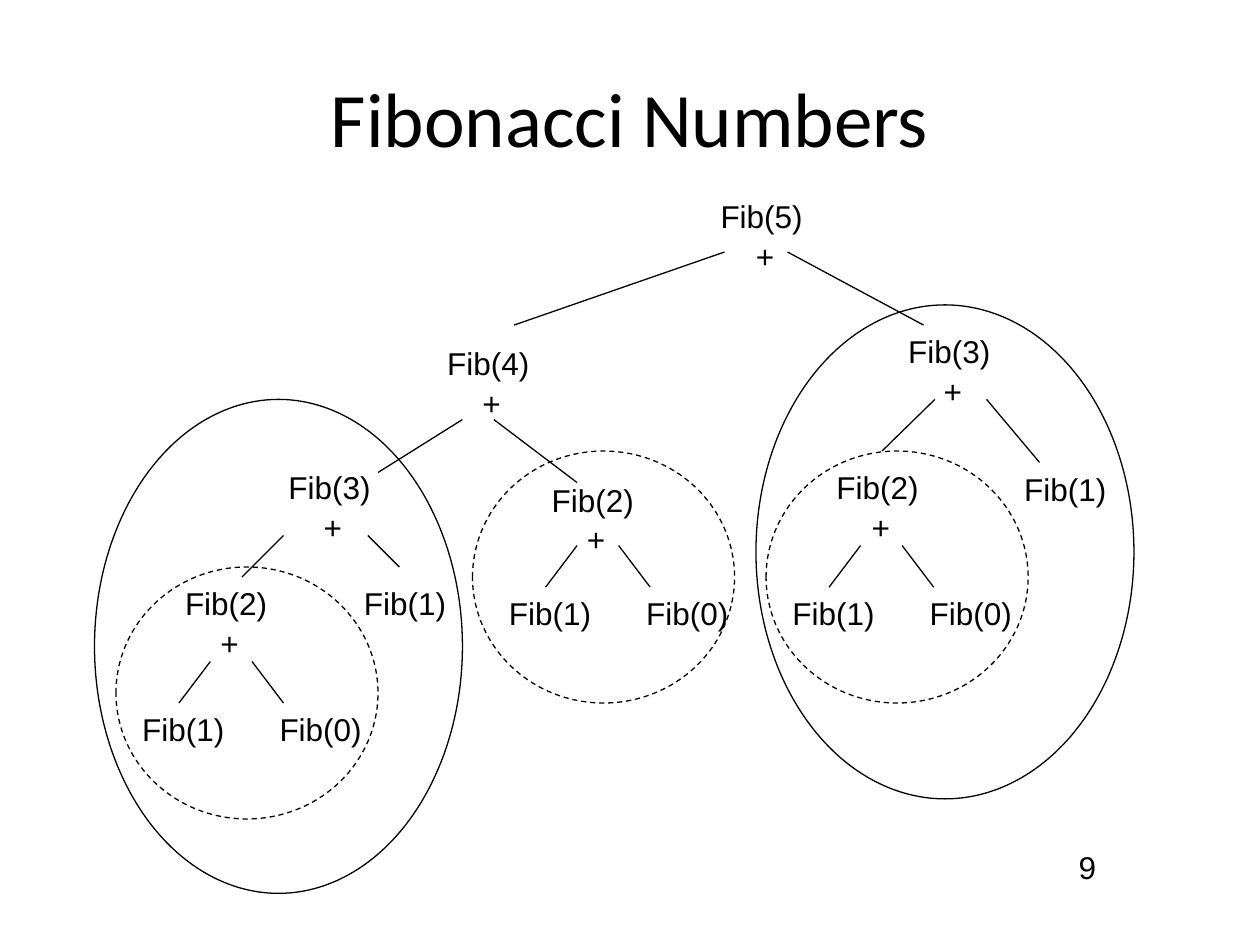
import pptx
import pptx.dml.color
import pptx.enum.dml
import pptx.enum.shapes
import pptx.enum.text
import pptx.oxml
import pptx.util
from pptx.util import Inches

TITLE = "Fibonacci Numbers"
PAGE_NUMBER = "9"
BLACK = "000000"

SUMS = [
    ("Fib(5)", 5.62, 1.5),
    ("Fib(4)", 3.45, 2.67),
    ("Fib(3)", 7.11, 2.57),
    ("Fib(3)", 2.19, 3.65),
    ("Fib(2)", 4.28, 3.75),
    ("Fib(2)", 6.54, 3.65),
    ("Fib(2)", 1.37, 4.57),
]
LEAVES = [("Fib(1)", 8.03, 3.67), ("Fib(1)", 2.79, 4.57)]
BRANCHES = [
    (5.75, 2, 4.08, 2.58),
    (6.25, 2, 7.33, 2.58),
    (3.67, 3.33, 3, 3.75),
    (3.92, 3.33, 4.58, 3.83),
    (7.42, 3.17, 7, 3.58),
    (7.83, 3.17, 8.25, 3.67),
    (2.25, 4.25, 1.92, 4.58),
    (2.92, 4.25, 3.17, 4.5),
]

FIB2_SUBTREES = [(0.92, 4.5), (3.83, 3.58), (6.08, 3.58)]
FIB2_LEAVES = [("Fib(1)", 0.11, 1.07), ("Fib(0)", 1.2, 1.07)]
FIB2_BRANCHES = [(0.75, 0.75, 0.5, 1.08), (1.08, 0.75, 1.33, 1.08)]

FIB2_GROUPS = [(left, top, 2.08, 2) for left, top in [(0.92, 4.5), (3.75, 3.58), (6.08, 3.58)]]
FIB3_GROUPS = [(0.75, 3.17, 2.92, 3.92), (6, 2.42, 3, 3.92)]


def color(hex_value):
    return pptx.dml.color.RGBColor.from_string(hex_value)


def add_run(paragraph, text, font_name="Arial", size=18):
    run = paragraph.add_run()
    run.text = text
    run.font.name = font_name
    run.font.size = pptx.util.Pt(size)
    run.font.color.rgb = color(BLACK)


def add_text(slide, lines, left, top, width=0.85, wrap=False):
    box = slide.shapes.add_textbox(
        Inches(left), Inches(top), Inches(width), Inches(0.1 + 0.3 * len(lines))
    )
    frame = box.text_frame
    frame.word_wrap = wrap
    for index, line in enumerate(lines):
        paragraph = frame.add_paragraph() if index else frame.paragraphs[0]
        paragraph.line_spacing = 1.05
        if line == "+":
            paragraph._p.get_or_add_pPr().set("marL", str(Inches(0.28)))
        add_run(paragraph, line)
    return frame


def style_line(line):
    line.color.rgb = color(BLACK)
    line.width = pptx.util.Pt(0.75)


def add_branch(slide, *ends):
    connector = slide.shapes.add_connector(
        pptx.enum.shapes.MSO_CONNECTOR.STRAIGHT, *map(Inches, ends)
    )
    style_line(connector.line)
    connector._element.spPr.append(
        pptx.oxml.parse_xml(
            '<a:effectLst xmlns:a="http://schemas.openxmlformats.org/drawingml/2006/main"/>'
        )
    )


def add_group_outline(slide, bounds, dashed):
    shape = slide.shapes.add_shape(
        pptx.enum.shapes.MSO_SHAPE.OVAL, *map(Inches, bounds)
    )
    shape.shadow.inherit = False
    shape.fill.background()
    style_line(shape.line)
    if dashed:
        shape.line.dash_style = pptx.enum.dml.MSO_LINE.DASH


def add_title(slide):
    title = slide.shapes.title
    title.left, title.top, title.width, title.height = map(Inches, (0.5, 0.3, 9, 1.25))
    title.text_frame.vertical_anchor = pptx.enum.text.MSO_ANCHOR.MIDDLE
    paragraph = title.text_frame.paragraphs[0]
    paragraph.alignment = pptx.enum.text.PP_ALIGN.CENTER
    add_run(paragraph, TITLE, "Calibri", 44)


def main():
    presentation = pptx.Presentation()
    presentation.slide_width = Inches(10)
    presentation.slide_height = Inches(7.5)
    slide = presentation.slides.add_slide(presentation.slide_layouts[5])

    add_title(slide)
    number = add_text(slide, [PAGE_NUMBER], 7.92, 6.67, 1.42, wrap=True)
    number.paragraphs[0].alignment = pptx.enum.text.PP_ALIGN.CENTER

    for name, left, top in SUMS:
        add_text(slide, [name, "+"], left, top)
    for name, left, top in LEAVES:
        add_text(slide, [name], left, top)
    for branch in BRANCHES:
        add_branch(slide, *branch)

    for left, top in FIB2_SUBTREES:
        for name, dx, dy in FIB2_LEAVES:
            add_text(slide, [name], left + dx, top + dy)
        for x1, y1, x2, y2 in FIB2_BRANCHES:
            add_branch(slide, left + x1, top + y1, left + x2, top + y2)

    for bounds in FIB2_GROUPS:
        add_group_outline(slide, bounds, dashed=True)
    for bounds in FIB3_GROUPS:
        add_group_outline(slide, bounds, dashed=False)

    presentation.save("out.pptx")


if __name__ == "__main__":
    main()
